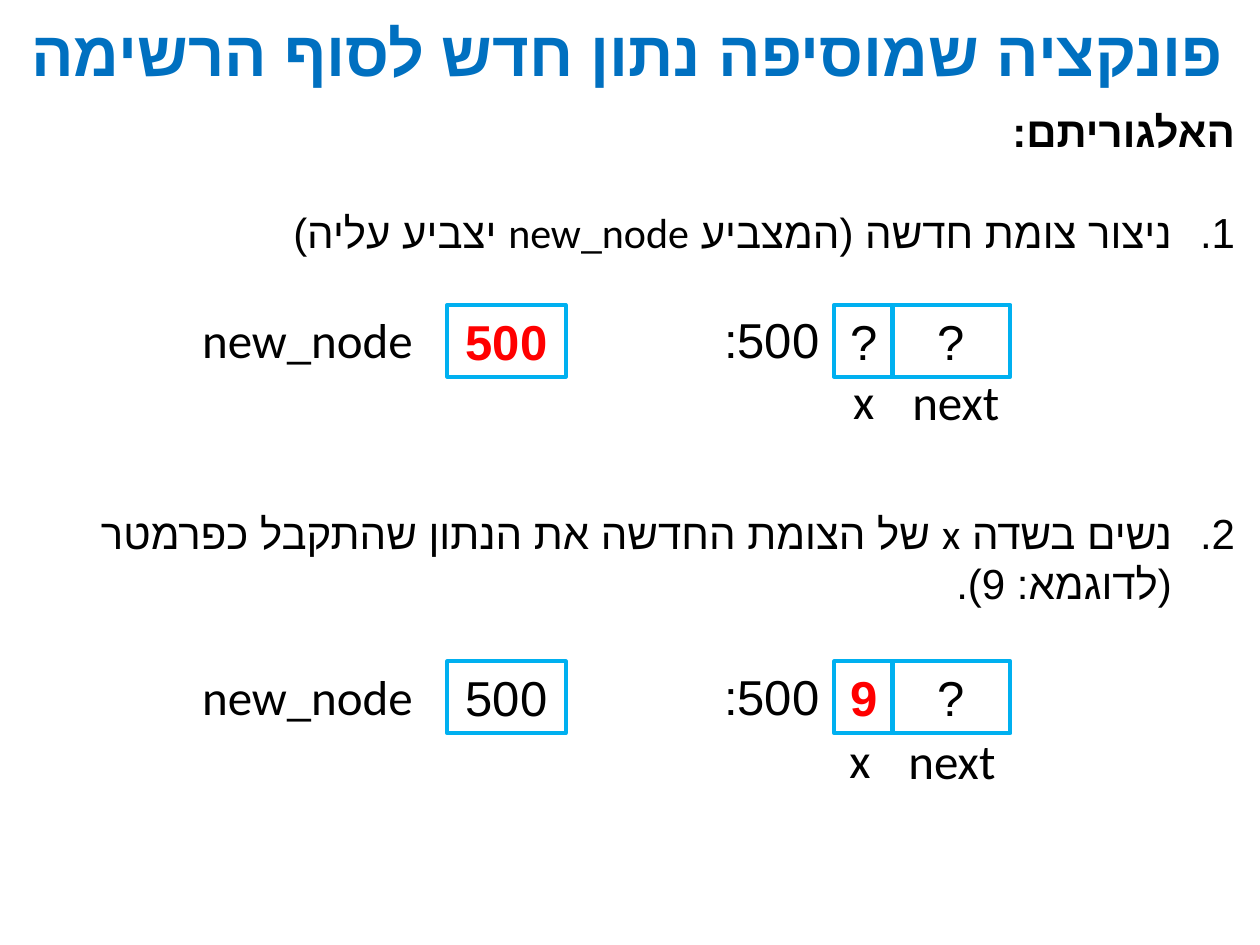
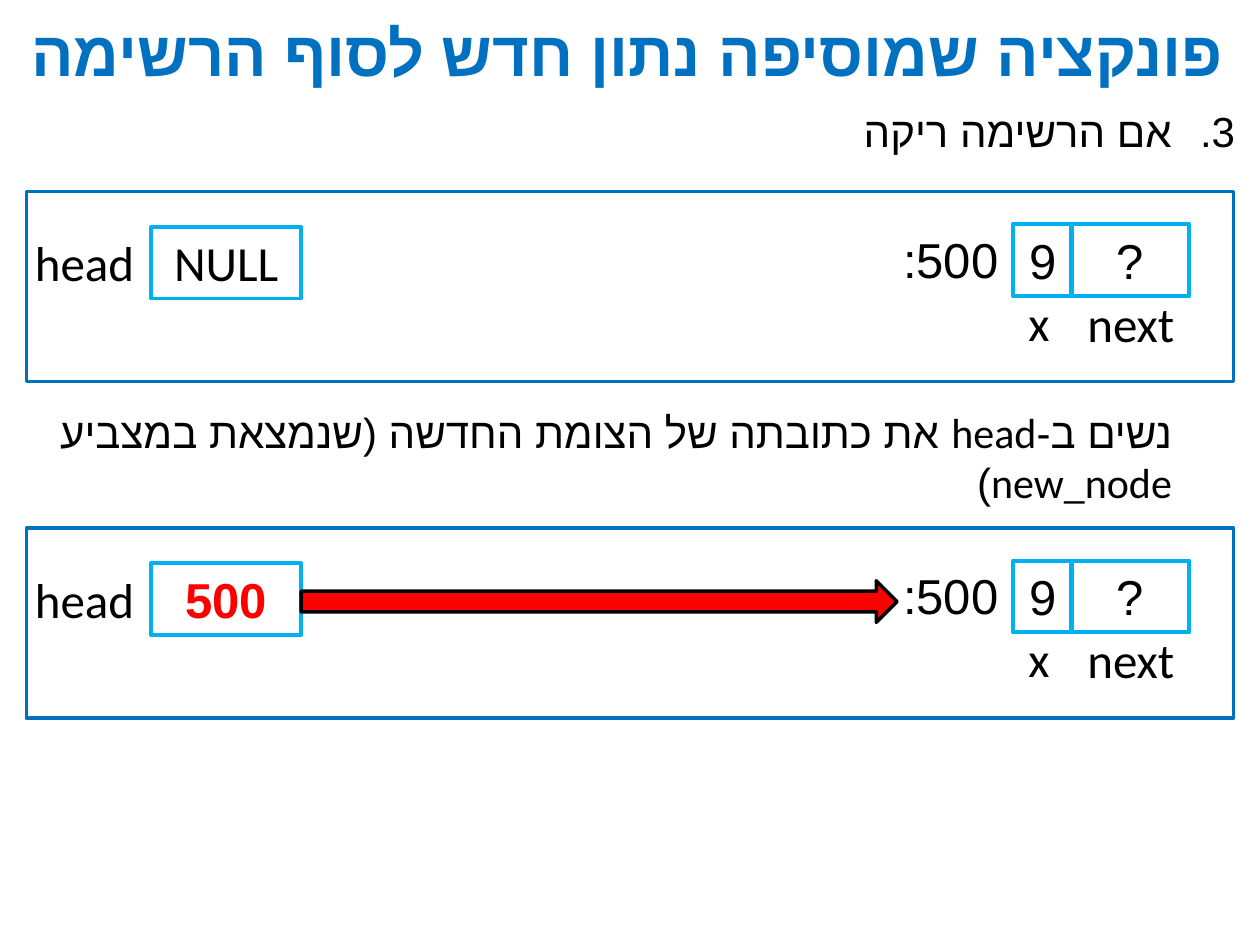
import dataclasses

import lxml.etree
import pptx
import pptx.dml.color
import pptx.enum.shapes
import pptx.enum.text
import pptx.oxml.ns
import pptx.util

Inches, Pt = pptx.util.Inches, pptx.util.Pt
ALIGN, ANCHOR = pptx.enum.text.PP_ALIGN, pptx.enum.text.MSO_ANCHOR
SHAPE = pptx.enum.shapes.MSO_SHAPE


@dataclasses.dataclass(frozen=True)
class Theme:
    ink: str = "000000"
    title: str = "0070C0"
    cell: str = "00B0F0"
    changed: str = "FF0000"
    body_font: str = "Calibri"
    hebrew_font: str = "Arial"
    title_size: int = 36
    step_size: int = 24
    cell_size: int = 28


THEME = Theme()
TITLE = "פונקציה שמוסיפה נתון חדש לסוף הרשימה"


@dataclasses.dataclass(frozen=True)
class Step:
    text: str
    number: int = 0
    indent: float = 0
    bold: bool = False
    space_before: int = 0


def rgb(value):
    return pptx.dml.color.RGBColor.from_string(value)


def write(paragraph, text, size, color=THEME.ink, bold=False,
          font=THEME.body_font, align=ALIGN.CENTER):
    """Add one right-to-left run with Latin and Hebrew fonts."""
    paragraph.alignment = align
    paragraph._p.get_or_add_pPr().set("rtl", "1")
    run = paragraph.add_run()
    run.text = text
    run.font.name = font
    run.font.size = Pt(size)
    run.font.bold = bold
    run.font.color.rgb = rgb(color)
    hebrew = lxml.etree.SubElement(run._r.get_or_add_rPr(), pptx.oxml.ns.qn("a:cs"))
    hebrew.set("typeface", THEME.hebrew_font)


def add_box(slide, left, top, width, height):
    box = slide.shapes.add_textbox(Inches(left), Inches(top), Inches(width), Inches(height))
    box.text_frame.word_wrap = True
    return box.text_frame


def add_outline(slide, kind, left, top, width, height, line, weight, fill=None):
    shape = slide.shapes.add_shape(
        kind, Inches(left), Inches(top), Inches(width), Inches(height))
    shape.shadow.inherit = False
    if fill:
        shape.fill.solid()
        shape.fill.fore_color.rgb = rgb(fill)
    else:
        shape.fill.background()
    shape.line.color.rgb = rgb(line)
    shape.line.width = Pt(weight)
    return shape


def add_label(slide, text, left, top, width):
    frame = add_box(slide, left, top, width, 0.57)
    write(frame.paragraphs[0], text, THEME.cell_size)


def add_cell(slide, text, left, top, width, changed=False):
    """Memory cell; a value that has just changed is bold red."""
    cell = add_outline(slide, SHAPE.RECTANGLE, left, top, width, 0.57, THEME.cell, 2.25)
    cell.text_frame.vertical_anchor = ANCHOR.TOP
    cell.text_frame.word_wrap = True
    write(cell.text_frame.paragraphs[0], text, THEME.cell_size,
          THEME.changed if changed else THEME.ink, changed)


def add_node(slide, left, top, value, changed=False, caption=(-0.15, 0.49)):
    """List node at address 500 with its two fields and their names."""
    add_label(slide, "500:", left - 0.98, top - 0.01, 0.97)
    add_cell(slide, value, left, top, 0.47, changed)
    add_cell(slide, "?", left + 0.46, top, 0.94)
    caption_left, caption_top = left + caption[0], top + caption[1]
    add_label(slide, "x", caption_left, caption_top, 0.71)
    add_label(slide, "next", caption_left + 0.59, caption_top + 0.01, 0.99)


def add_title(slide):
    frame = add_box(slide, 0, 0, 9.96, 0.81)
    frame.vertical_anchor = ANCHOR.MIDDLE
    write(frame.paragraphs[0], TITLE, THEME.title_size, THEME.title, True, THEME.hebrew_font)


def add_steps(slide, height, steps):
    """Numbered algorithm steps, spaced to leave room for the diagrams."""
    frame = add_box(slide, 0.07, 0.79, 9.83, height)
    for index, step in enumerate(steps):
        paragraph = frame.add_paragraph() if index else frame.paragraphs[0]
        properties = paragraph._p.get_or_add_pPr()
        if step.indent:
            properties.set("marL", str(Inches(step.indent)))
        if step.number:
            properties.set("indent", str(-Inches(step.indent)))
            numbering = lxml.etree.SubElement(properties, pptx.oxml.ns.qn("a:buAutoNum"))
            numbering.set("type", "arabicPeriod")
            if step.number > 1:
                numbering.set("startAt", str(step.number))
        if step.space_before:
            paragraph.space_before = Pt(step.space_before)
        write(paragraph, step.text, THEME.step_size, bold=step.bold, align=ALIGN.RIGHT)


def add_new_node_state(slide, top, address_changed, value, value_changed, **node_options):
    """Pointer new_node beside the node it points to."""
    add_label(slide, "new_node", 1.43, top - 0.01, 2.02)
    add_cell(slide, "500", 3.55, top, 0.94, address_changed)
    add_node(slide, 6.62, top, value, value_changed, **node_options)


def add_head_panel(slide, left, top, head, linked):
    """Framed list state: head pointer on the left, node on the right."""
    add_node(slide, left + 7.83, top + 0.26, "9")
    add_label(slide, "head", left - 0.13, top + 0.28, 1.18)
    add_cell(slide, head, left + 0.99, top + 0.28, 1.19, linked)
    add_outline(slide, SHAPE.RECTANGLE, left, top, 9.58, 1.51, THEME.title, 2)
    if linked:
        add_outline(slide, SHAPE.RIGHT_ARROW, left + 2.18, top + 0.42, 4.73, 0.33,
                    THEME.ink, 2, THEME.changed)


def build_create_slide(slide):
    add_steps(slide, 4.14, [
        Step("האלגוריתם:", bold=True),
        Step("ניצור צומת חדשה (המצביע new_node יצביע עליה)", 1, 0.5, space_before=29),
        Step("נשים בשדה x של הצומת החדשה את הנתון שהתקבל כפרמטר (לדוגמא: 9).",
             2, 0.5, space_before=143),
    ])
    add_title(slide)
    add_new_node_state(slide, 2.42, True, "?", False, caption=(-0.12, 0.47))
    add_new_node_state(slide, 5.25, False, "9", True)


def build_empty_list_slide(slide):
    add_steps(slide, 5.35, [
        Step("אם הרשימה ריקה", 3, 0.5),
        Step("נשים ב-head את כתובתה של הצומת החדשה (שנמצאת במצביע new_node)",
             indent=0.5, space_before=143),
    ])
    add_title(slide)
    for index, (head, linked) in enumerate([("NULL", False), ("500", True)]):
        add_head_panel(slide, 0.21, 1.52 + index * 2.67, head, linked)


def main():
    deck = pptx.Presentation()
    deck.slide_width, deck.slide_height = Inches(10), Inches(7.5)
    for build in (build_create_slide, build_empty_list_slide):
        build(deck.slides.add_slide(deck.slide_layouts[6]))
    deck.save("out.pptx")


if __name__ == "__main__":
    main()
